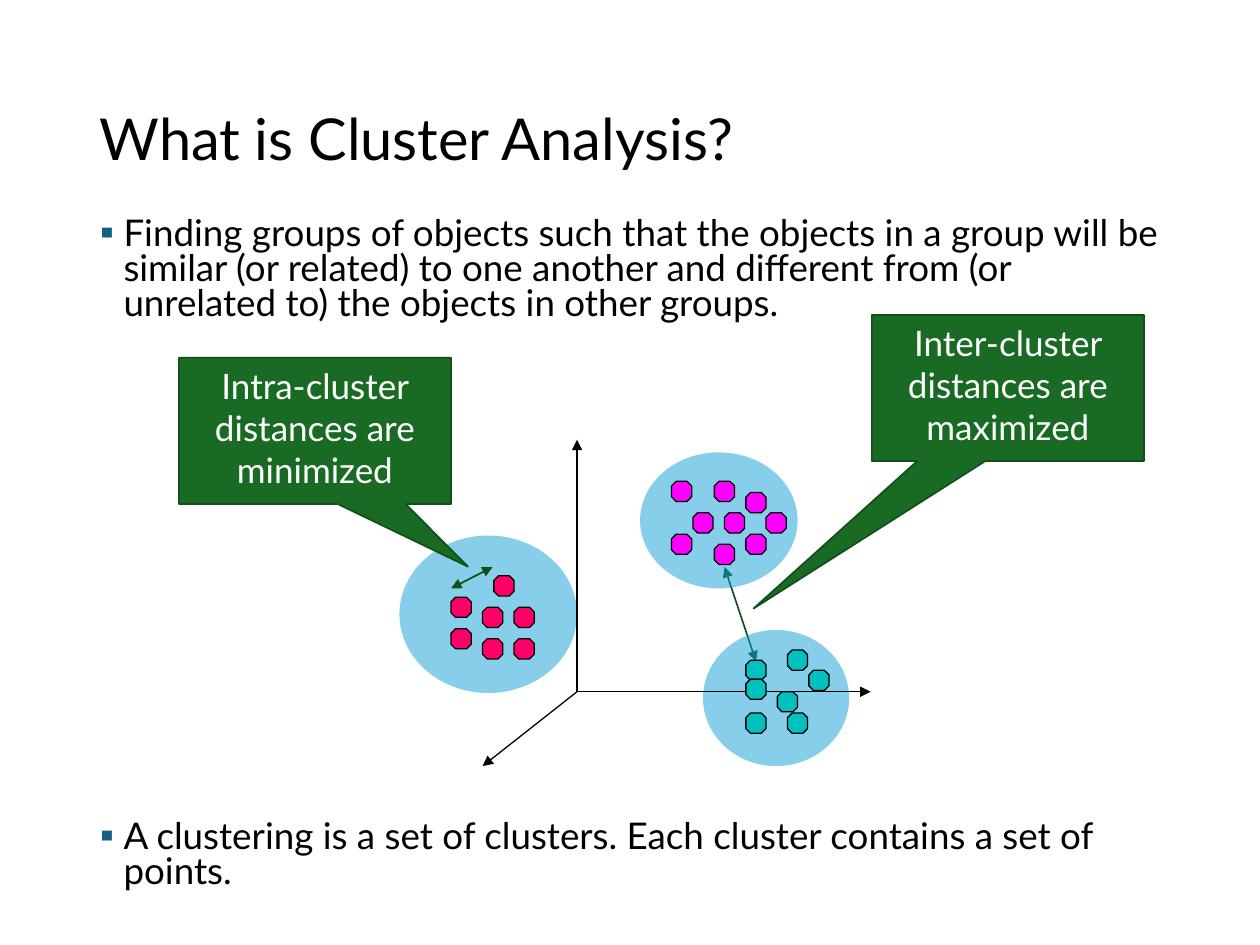
from lxml.etree import SubElement
from pptx import Presentation
from pptx.dml.color import RGBColor
from pptx.enum.shapes import MSO_CONNECTOR, MSO_SHAPE
from pptx.enum.text import MSO_ANCHOR as Anchor, MSO_AUTO_SIZE as AutoSize, PP_ALIGN as Align
from pptx.oxml.ns import qn
from pptx.util import Inches, Pt

BLACK, WHITE = "000000", "FFFFFF"
GREEN, DARK_GREEN = "196B24", "124F1B"
SKY, BULLET = "0F9ED5", "156082"
POINT_SIZE = 0.16


def color(hex_string):
    return RGBColor.from_string(hex_string)


class ClusterSlide:
    """Holds the style and the slide being drawn."""
    font = "Lato"

    def __init__(self, presentation):
        self.slide = presentation.slides.add_slide(presentation.slide_layouts[1])
        self.shapes = self.slide.shapes

    def style(self, paragraph, size, font_color=BLACK, align=Align.LEFT):
        paragraph.alignment = align
        paragraph.font.name = self.font
        paragraph.font.size = Pt(size)
        paragraph.font.color.rgb = color(font_color)

    def place(self, shape, left, top, width, height):
        shape.left, shape.top = Inches(left), Inches(top)
        shape.width, shape.height = Inches(width), Inches(height)

    def title(self, text, box):
        title = self.shapes.title
        self.place(title, *box)
        frame = title.text_frame
        frame.text = text
        frame.auto_size = AutoSize.NONE
        frame.vertical_anchor = Anchor.MIDDLE
        frame.paragraphs[0].line_spacing = 0.9
        self.style(frame.paragraphs[0], 33)

    def bullets(self, items, box):
        """Fill the body with (text, space before in points) items."""
        body = self.slide.placeholders[1]
        self.place(body, *box)
        frame = body.text_frame
        frame.text = "\n".join(text for text, _ in items)
        frame.auto_size = AutoSize.NONE
        frame.vertical_anchor = Anchor.TOP
        for paragraph, (_, space) in zip(frame.paragraphs, items):
            paragraph.line_spacing = 0.8
            paragraph.space_before = Pt(space)
            properties = paragraph._p.get_or_add_pPr()
            properties.set("marL", str(Inches(0.19)))
            properties.set("indent", str(-Inches(0.19)))
            bullet_color = SubElement(properties, qn("a:buClr"))
            SubElement(bullet_color, qn("a:srgbClr"), val=BULLET)
            SubElement(properties, qn("a:buFont"), typeface=self.font)
            SubElement(properties, qn("a:buChar"), char="▪")
            self.style(paragraph, 21)

    def shape(self, kind, box, fill, line=None, width=0.75):
        shape = self.shapes.add_shape(kind, *map(Inches, box))
        shape.shadow.inherit = False
        shape.fill.solid()
        shape.fill.fore_color.rgb = color(fill)
        if line:
            shape.line.color.rgb = color(line)
            shape.line.width = Pt(width)
        else:
            shape.line.fill.background()
        return shape

    def callout(self, text, left, top, tip):
        """Draw a callout; tip is its offset from the centre in box sizes."""
        shape = self.shape(MSO_SHAPE.RECTANGULAR_CALLOUT, (left, top, 2.16, 1.16),
                           GREEN, DARK_GREEN, 1)
        shape.adjustments[0], shape.adjustments[1] = tip
        frame = shape.text_frame
        frame.word_wrap = True
        frame.vertical_anchor = Anchor.TOP
        frame.text = text
        self.style(frame.paragraphs[0], 20, WHITE, Align.CENTER)

    def cluster_area(self, *box):
        shape = self.shape(MSO_SHAPE.OVAL, box, SKY)
        fill = shape._element.spPr.find(qn("a:solidFill"))
        SubElement(fill[0], qn("a:alpha"), val="50000")

    def points(self, positions, fill):
        for left, top in positions:
            box = (left, top, POINT_SIZE, POINT_SIZE)
            shape = self.shape(MSO_SHAPE.OCTAGON, box, fill, BLACK)
            shape.adjustments[0] = 0.23

    def arrow(self, start, end, line_color=BLACK, width=0.75, both=False):
        connector = self.shapes.add_connector(
            MSO_CONNECTOR.STRAIGHT, *map(Inches, (*start, *end)))
        connector.line.color.rgb = color(line_color)
        connector.line.width = Pt(width)
        line = connector.line._get_or_add_ln()
        if both:
            SubElement(line, qn("a:headEnd"), type="triangle")
        SubElement(line, qn("a:tailEnd"), type="triangle")
        SubElement(connector._element.spPr, qn("a:effectLst"))


def main():
    presentation = Presentation()
    presentation.slide_width, presentation.slide_height = Inches(10), Inches(7.5)
    slide = ClusterSlide(presentation)

    slide.title("What is Cluster Analysis?", (0.69, 0.4, 8.62, 1.45))
    slide.bullets([
        ("Finding groups of objects such that the objects in a group will be similar "
         "(or related) to one another and different from (or unrelated to) the objects "
         "in other groups.", 0),
        ("A clustering is a set of clusters. Each cluster contains a set of points.", 284),
    ], (0.69, 1.68, 8.62, 5.57))

    slide.arrow((6, 5.25), (5.75, 4.5), DARK_GREEN, 1, both=True)
    slide.callout("Inter-cluster distances are maximized", 6.92, 2.5, (-0.935, 1.509))

    slide.cluster_area(3.17, 4.25, 1.41, 1.25)
    slide.cluster_area(5.08, 3.59, 1.25, 1.08)
    slide.cluster_area(5.58, 5, 1.16, 1.08)

    slide.arrow((3.58, 4.67), (3.91, 4.5), DARK_GREEN, 1, both=True)
    slide.callout("Intra-cluster distances are minimized", 1.42, 2.84, (0.562, 0.929))

    axis_origin = (4.58, 5.49)
    for axis_end in [(4.58, 3.49), (6.91, 5.49), (3.83, 6.08)]:
        slide.arrow(axis_origin, axis_end)

    slide.points([(5.5, 4.07), (5.75, 4.07), (5.67, 3.82), (5.67, 4.32), (6.08, 4.07),
                  (5.92, 3.91), (5.33, 3.82), (5.92, 4.24), (5.33, 4.24)], "FF00FF")
    slide.points([(3.58, 4.74), (3.83, 4.82), (3.83, 5.07), (4.08, 4.82),
                  (3.92, 4.57), (4.08, 5.07), (3.58, 4.99)], "FF0066")
    slide.points([(5.92, 5.24), (6.42, 5.32), (6.17, 5.49), (5.92, 5.66),
                  (6.25, 5.66), (5.92, 5.39), (6.25, 5.16)], "00C0C0")

    presentation.save("out.pptx")


if __name__ == "__main__":
    main()
